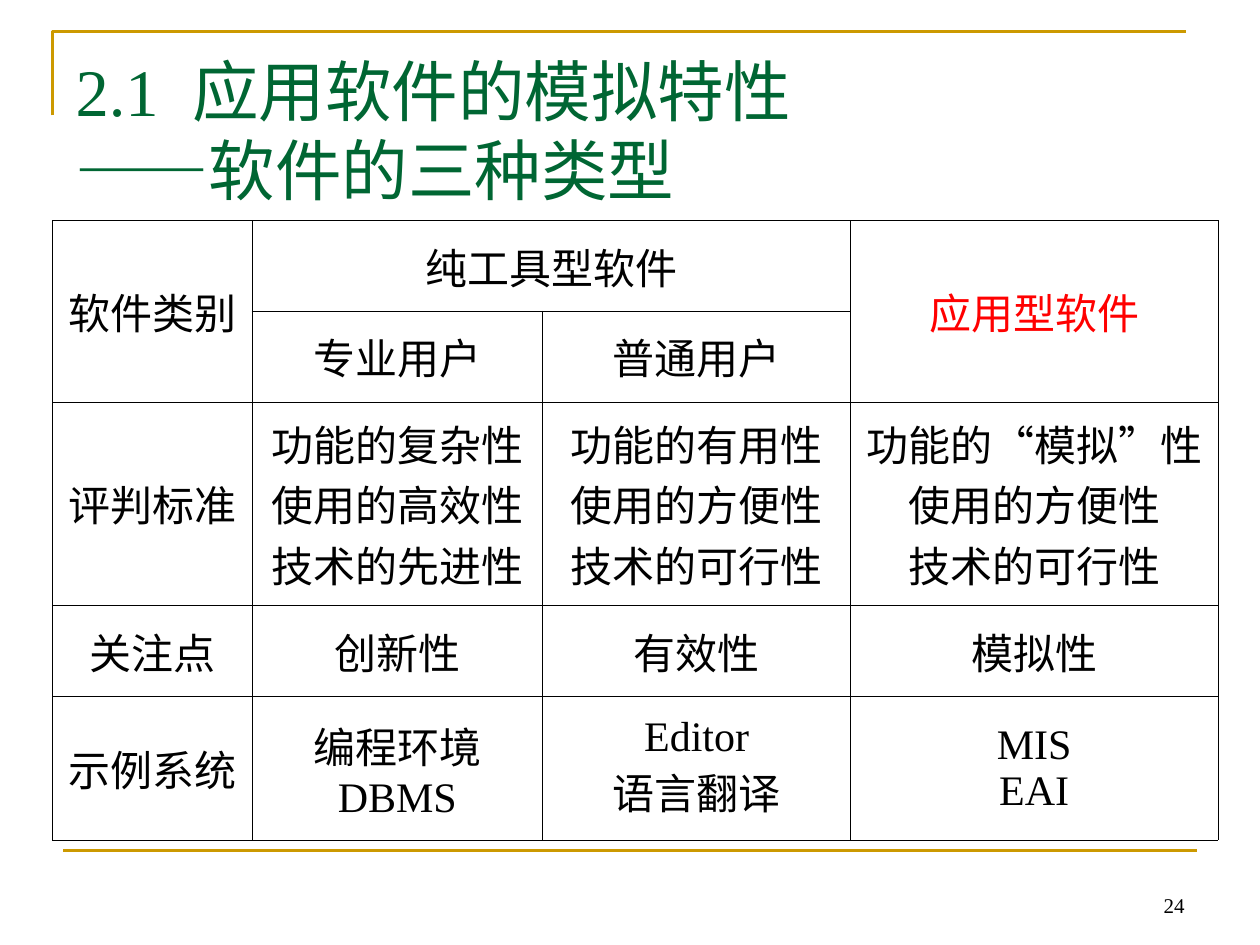
from dataclasses import dataclass

from lxml.etree import SubElement
from pptx import Presentation
from pptx.dml.color import RGBColor as RGB
from pptx.enum.shapes import MSO_CONNECTOR as Connector
from pptx.enum.text import MSO_ANCHOR as Anchor, MSO_AUTO_SIZE as AutoSize, PP_ALIGN as Align
from pptx.oxml.ns import qn
from pptx.util import Inches, Pt


@dataclass(frozen=True)
class Theme:
    green: str = "006633"
    gold: str = "CC9900"
    black: str = "000000"
    red: str = "FF0000"
    font: str = "Times New Roman"
    symbol_font: str = "Arial"
    title_size: float = 38
    title_leading: float = 44.8
    table_size: float = 24
    number_size: float = 12
    rule_width: float = 1.5
    border_width: float = 0.45


class SlideBuilder:
    """Places elements on a grid of 120 columns by 90 rows."""

    COLS, ROWS = 120, 90

    def __init__(self, prs, theme):
        self.theme = theme
        self.width, self.height = prs.slide_width, prs.slide_height
        self.s = prs.slides.add_slide(prs.slide_layouts[5])

    def x(self, col):
        return round(self.width * col / self.COLS)

    def y(self, row):
        return round(self.height * row / self.ROWS)

    def box(self, col, row, cols, rows):
        return self.x(col), self.y(row), self.x(cols), self.y(rows)

    def style(self, p, size, color, align):
        p.alignment = align
        p.font.name, p.font.size = self.theme.font, Pt(size)
        p.font.color.rgb = RGB.from_string(color)

    def add_runs(self, p, text, symbols):
        """Set the given symbols in the symbol font, the rest as the paragraph."""
        parts = [text]
        for mark in symbols:
            parts = [bit for part in parts for bit in part.partition(mark) if bit]
        for part in parts:
            r = p.add_run()
            r.text = part
            if part in symbols:
                r.font.name = self.theme.symbol_font

    def rule_line(self, sp):
        sp.line.color.rgb = RGB.from_string(self.theme.gold)
        sp.line.width = Pt(self.theme.rule_width)

    def corner(self, points):
        (col, row), *rest = points
        fb = self.s.shapes.build_freeform(self.x(col), self.y(row))
        fb.add_line_segments([(self.x(c), self.y(r)) for c, r in rest], close=False)
        sp = fb.convert_to_shape()
        sp.shadow.inherit = False
        sp.fill.background()
        self.rule_line(sp)

    def line(self, start, end):
        sp = self.s.shapes.add_connector(
            Connector.STRAIGHT, self.x(start[0]), self.y(start[1]),
            self.x(end[0]), self.y(end[1]))
        self.rule_line(sp)
        SubElement(sp._element.spPr, qn("a:effectLst"))

    def title(self, number, heading, subtitle, box):
        sp = self.s.shapes.title
        sp.left, sp.top, sp.width, sp.height = self.box(*box)
        tf = sp.text_frame
        tf.auto_size, tf.word_wrap = AutoSize.NONE, True
        tf.vertical_anchor, tf.margin_top = Anchor.TOP, Inches(0.11)
        p = tf.paragraphs[0]
        self.style(p, self.theme.title_size, self.theme.green, Align.LEFT)
        p.line_spacing = Pt(self.theme.title_leading)
        self.add_runs(p, number, ())
        gap = p.add_run()
        gap.text = " "
        gap._r.get_or_add_rPr().set("spc", "950")
        self.add_runs(p, heading, ())
        p.add_line_break()
        self.add_runs(p, subtitle, ("——",))

    def border(self, cell):
        tcPr = cell._tc.get_or_add_tcPr()
        for side in ("lnL", "lnR", "lnT", "lnB"):
            ln = SubElement(tcPr, qn(f"a:{side}"), w=str(Pt(self.theme.border_width)))
            fill = SubElement(ln, qn("a:solidFill"))
            SubElement(fill, qn("a:srgbClr"), val=self.theme.black)

    def cell(self, cell, text, color):
        self.border(cell)
        cell.fill.background()
        cell.vertical_anchor = Anchor.MIDDLE
        tf = cell.text_frame
        for i, content in enumerate(text.split("\n")):
            p = tf.add_paragraph() if i else tf.paragraphs[0]
            self.style(p, self.theme.table_size, color, Align.CENTER)
            if content:
                self.add_runs(p, content, ("“", "”"))

    def table(self, col, row, widths, heights, data, merges, accents):
        frame = self.s.shapes.add_table(
            len(heights), len(widths), *self.box(col, row, sum(widths), sum(heights)))
        table = frame.table
        table.first_row = table.horz_banding = False
        for column, width in zip(table.columns, widths):
            column.width = self.x(width)
        for table_row, height in zip(table.rows, heights):
            table_row.height = self.y(height)
        for r, texts in enumerate(data):
            for c, text in enumerate(texts):
                color = self.theme.red if text in accents else self.theme.black
                self.cell(table.cell(r, c), text, color)
        for first, last in merges:
            table.cell(*first).merge(table.cell(*last))

    def page_number(self, text, box):
        tf = self.s.shapes.add_textbox(*self.box(*box)).text_frame
        tf.word_wrap, tf.vertical_anchor = True, Anchor.BOTTOM
        p = tf.paragraphs[0]
        self.style(p, self.theme.number_size, self.theme.black, Align.RIGHT)
        self.add_runs(p, text, ())


# Table content; empty strings are covered by merged cells
SOFTWARE_TYPES = [
    ["软件类别", "纯工具型软件", "", "应用型软件"],
    ["", "专业用户", "普通用户", ""],
    ["评判标准",
     "功能的复杂性\n使用的高效性\n技术的先进性",
     "功能的有用性\n使用的方便性\n技术的可行性",
     "功能的“模拟”性\n使用的方便性\n技术的可行性"],
    ["关注点", "创新性", "有效性", "模拟性"],
    ["示例系统", "编程环境\nDBMS", "Editor\n语言翻译", "MIS\nEAI"],
]


def main():
    prs = Presentation()
    prs.slide_width, prs.slide_height = Inches(10), Inches(7.5)
    b = SlideBuilder(prs, Theme())

    # Gold frame lines
    b.corner([(5, 11), (5, 3), (113, 3)])
    b.line((6, 81), (114, 81))

    # Title
    b.title("2.1", "应用软件的模拟特性", "——软件的三种类型", (6, 3.6, 108, 15))

    # Comparison of software types
    single = 8.64
    b.table(5, 21, [19, 27.7, 29.3, 35], [single, single, 19.4, single, 13.7],
            SOFTWARE_TYPES,
            merges=[((0, 0), (1, 0)), ((0, 1), (0, 2)), ((0, 3), (1, 3))],
            accents={"应用型软件"})

    # Page number
    b.page_number("24", (86, 82, 28, 6))

    prs.save("out.pptx")


if __name__ == "__main__":
    main()
